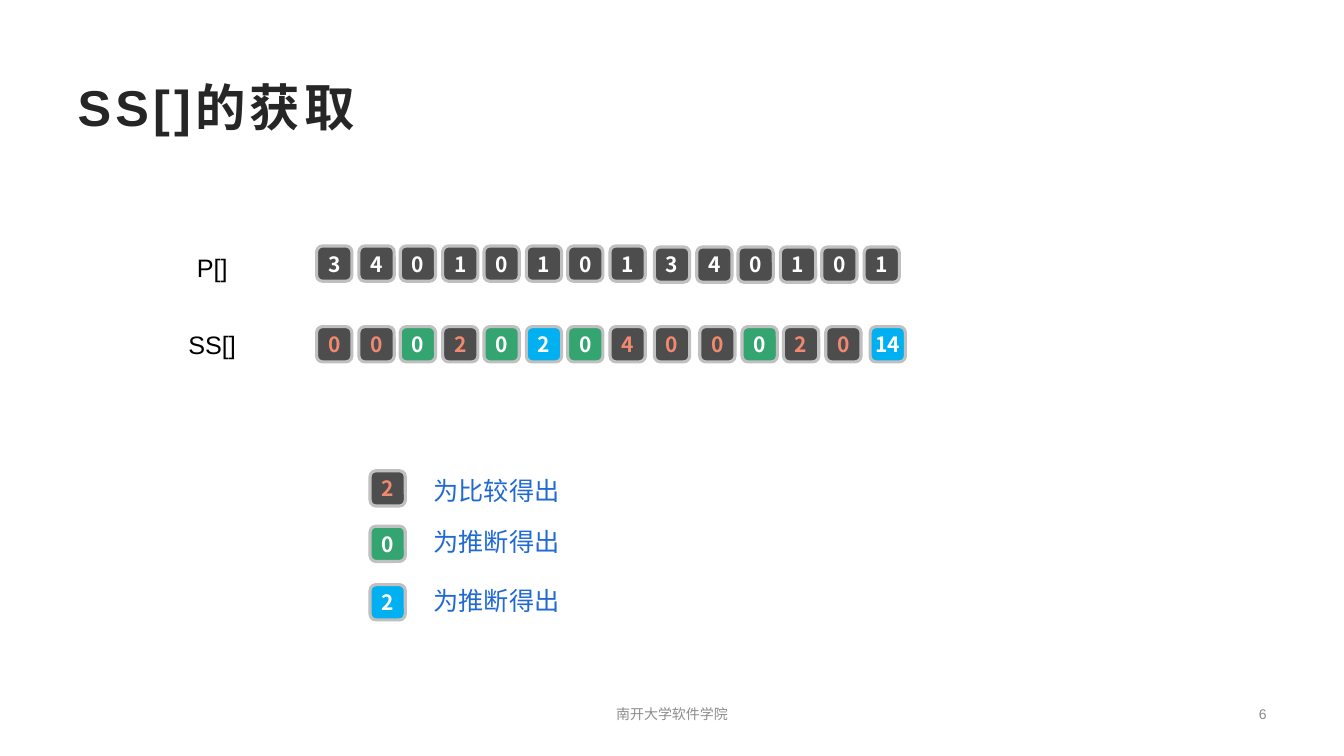
from lxml import etree
from pptx import Presentation
from pptx.dml.color import RGBColor
from pptx.enum.shapes import MSO_SHAPE
from pptx.enum.text import MSO_ANCHOR, MSO_AUTO_SIZE, PP_ALIGN
from pptx.oxml.ns import qn
from pptx.util import Emu, Pt

PX = 9144
LEFT, CENTER, RIGHT = PP_ALIGN.LEFT, PP_ALIGN.CENTER, PP_ALIGN.RIGHT
MIDDLE, TOP = MSO_ANCHOR.MIDDLE, MSO_ANCHOR.TOP
FIT_SHAPE, NO_FIT = MSO_AUTO_SIZE.SHAPE_TO_FIT_TEXT, MSO_AUTO_SIZE.NONE
ROUNDED = MSO_SHAPE.ROUNDED_RECTANGLE

COLORS = {
    "title": "262626",
    "label": "000000",
    "legend": "2169D3",
    "footer": "8C8C8C",
    "border": "C0C0C0",
    "dark": "4D4D4D",
    "green": "34A471",
    "blue": "00B0F0",
    "white": "FFFFFF",
    "coral": "F18870",
}
CELL_STYLES = {
    "given": ("dark", "white"),
    "compared": ("dark", "coral"),
    "inferred": ("green", "white"),
    "suffix": ("blue", "white"),
}
CELL = 35

P_GROUPS = [
    (175, 0, [(digit, "given") for digit in "34010101"]),
    (510, 1, [(digit, "given") for digit in "340101"]),
]
SS_GROUPS = [
    (175, 0, [("0", "compared"), ("0", "compared"), ("0", "inferred"),
              ("2", "compared"), ("0", "inferred"), ("2", "suffix"),
              ("0", "inferred"), ("4", "compared")]),
    (510, 0, [("0", "compared")]),
    (555, 0, [("0", "compared"), ("0", "inferred"),
              ("2", "compared"), ("0", "compared")]),
    (724, 0, [("14", "suffix")]),
]
LEGEND = [
    (0, 0, "2", "compared", "为比较得出"),
    (55, 50, "0", "inferred", "为推断得出"),
    (113, 109, "2", "suffix", "为推断得出"),
]


def rgb(name):
    return RGBColor.from_string(COLORS[name])


def px(*lengths):
    return [Emu(length * PX) for length in lengths]


def style(paragraph, size, color, align, font="Arial", bold=False):
    paragraph.alignment = align
    paragraph.font.size = Pt(size)
    paragraph.font.name = font
    paragraph.font.bold = bold
    paragraph.font.color.rgb = rgb(color)


def add_text(slide, box, text, size, color, align, anchor=TOP, fit=FIT_SHAPE):
    frame = slide.shapes.add_textbox(*px(*box)).text_frame
    frame.word_wrap = True
    frame.auto_size = fit
    frame.vertical_anchor = anchor
    frame.text = text
    style(frame.paragraphs[0], size, color, align)


def outline_text(run):
    outline = etree.Element(qn("a:ln"), w=str(Pt(0.75)))
    fill = etree.SubElement(outline, qn("a:solidFill"))
    etree.SubElement(fill, qn("a:srgbClr"), val=COLORS["white"])
    run._r.get_or_add_rPr().insert(0, outline)


def add_cell(slide, left, top, value, kind):
    fill, ink = CELL_STYLES[kind]
    cell = slide.shapes.add_shape(ROUNDED, *px(left, top, CELL, CELL))
    cell.shadow.inherit = False
    cell.fill.solid()
    cell.fill.fore_color.rgb = rgb(fill)
    cell.line.color.rgb = rgb("border")
    cell.line.width = Pt(2.25)
    frame = cell.text_frame
    frame.margin_left = frame.margin_right = 0
    frame.margin_top = frame.margin_bottom = 0
    frame.word_wrap = False
    frame.vertical_anchor = MIDDLE
    frame.text = value
    style(frame.paragraphs[0], 15, ink, CENTER, "Noto Sans CJK SC", True)
    if kind == "compared":
        outline_text(frame.paragraphs[0].runs[0])


def add_title(slide, box, text):
    title = slide.shapes.title
    title.left, title.top, title.width, title.height = px(*box)
    frame = title.text_frame
    frame.text = text
    frame.word_wrap = True
    frame.auto_size = NO_FIT
    frame.vertical_anchor = MIDDLE
    style(frame.paragraphs[0], 36, "title", LEFT, bold=True)
    frame.paragraphs[0].runs[0]._r.get_or_add_rPr().set("spc", "300")


def add_array(slide, left, top, label, label_drop, groups):
    add_text(slide, (left, top + label_drop, 143, 40), label, 18, "label", CENTER)
    for offset, drop, entries in groups:
        for index, (value, kind) in enumerate(entries):
            step = (83 * index + 1) // 2
            add_cell(slide, left + offset + step, top + drop, value, kind)


def add_legend(slide, left, top):
    for cell_drop, text_drop, value, kind, meaning in LEGEND:
        add_cell(slide, left, top + cell_drop, value, kind)
        add_text(slide, (left + 53, top + text_drop, 321, 40), meaning,
                 18, "legend", LEFT)


def add_footer(slide, top):
    add_text(slide, (450, top, 433, 35), "南开大学软件学院", 10, "footer",
             CENTER, MIDDLE, NO_FIT)
    add_text(slide, (971, top, 295, 35), "6", 10, "footer",
             RIGHT, MIDDLE, NO_FIT)


def main():
    deck = Presentation()
    deck.slide_width, deck.slide_height = px(1333, 750)
    slide = deck.slides.add_slide(deck.slide_layouts[5])
    add_title(slide, (67, 67, 1200, 77), "SS[]的获取")
    add_array(slide, 139, 244, "P[]", 1, P_GROUPS)
    add_array(slide, 139, 324, "SS[]", -2, SS_GROUPS)
    add_legend(slide, 367, 467)
    add_footer(slide, 691)
    deck.save("out.pptx")


if __name__ == "__main__":
    main()
